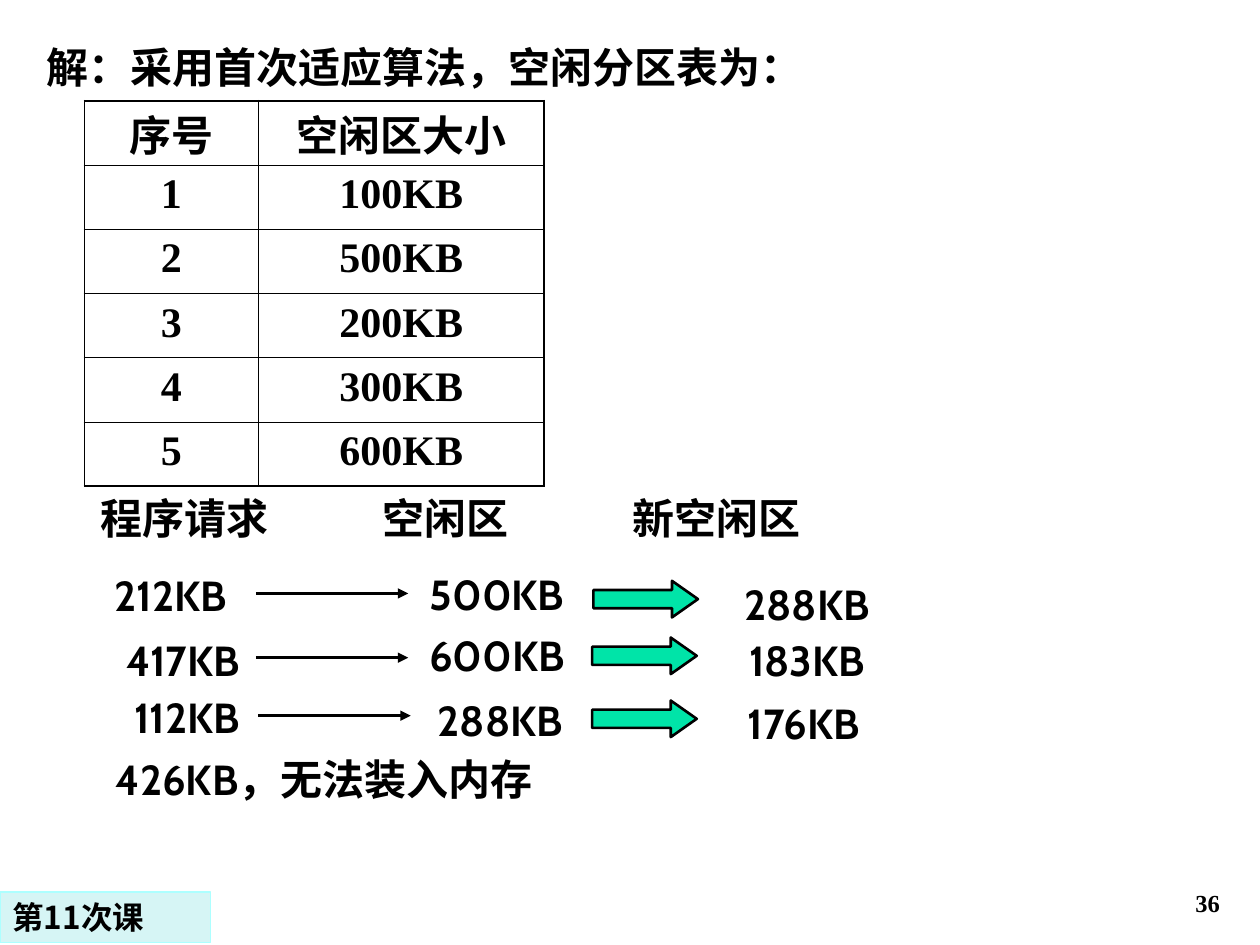
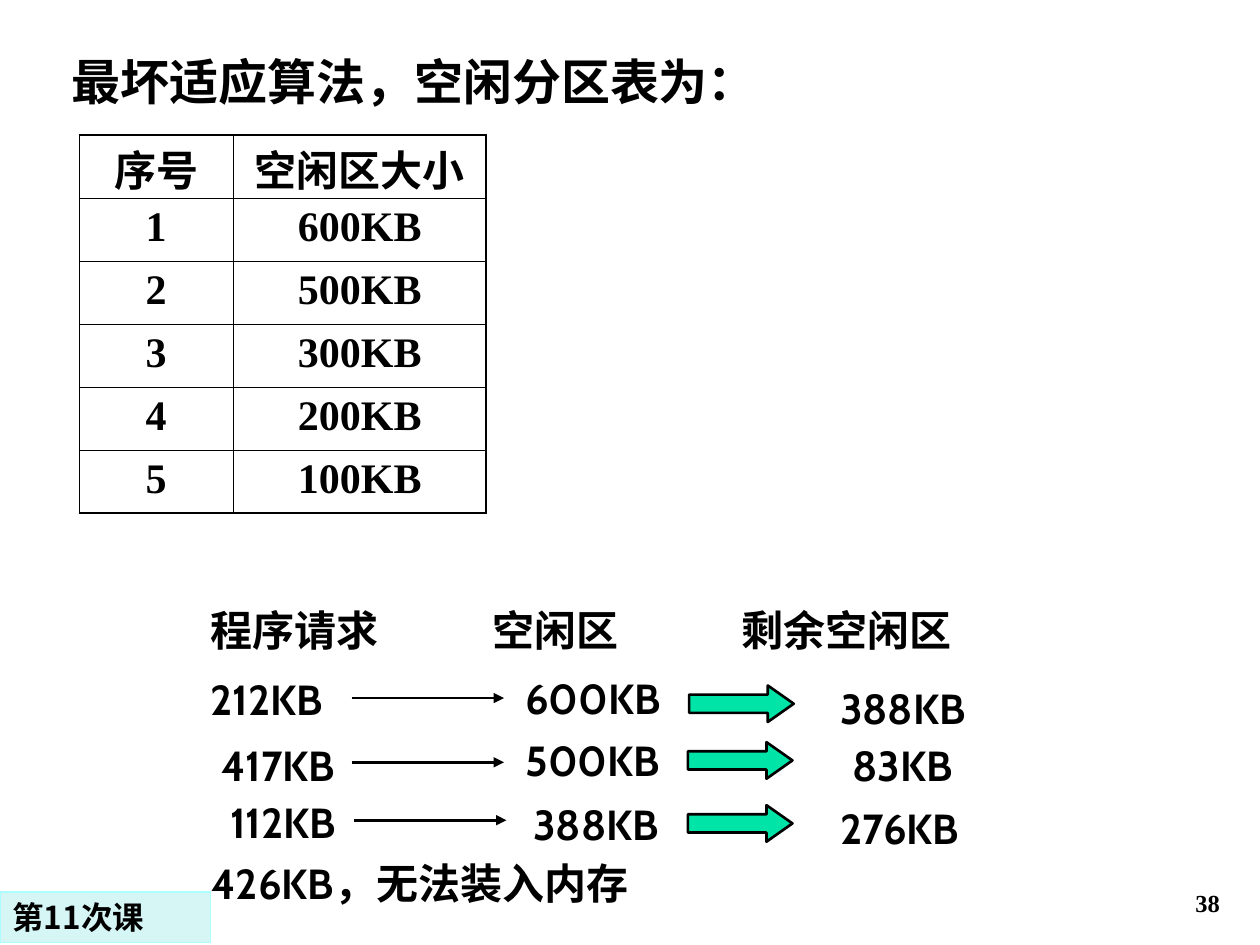
from lxml import etree
from pptx import Presentation
from pptx.dml.color import RGBColor
from pptx.enum.shapes import MSO_CONNECTOR, MSO_SHAPE
from pptx.enum.text import MSO_ANCHOR, MSO_AUTO_SIZE, PP_ALIGN
from pptx.oxml.ns import qn
from pptx.util import Inches, Pt

BLACK = RGBColor(0x00, 0x00, 0x00)
GREEN = RGBColor(0x00, 0xE4, 0xA8)
PALE_CYAN = RGBColor(0xD6, 0xF5, 0xF5)
CYAN_EDGE = RGBColor(0xAD, 0xFF, 0xFF)
CABIN, TIMES, CJK = "Cabin", "Times New Roman", "Noto Sans CJK SC"

# Content
LESSON = "第11次课"
TABLE_HEAD = ("序号", "空闲区大小")
REJECTED = "426KB，无法装入内存"
SLIDES = [
    {
        "title": "解：采用首次适应算法，空闲分区表为：",
        "title_box": (0.27, 0.28, 7.21, 0.5), "title_font": (CABIN, 24),
        "free_sizes": ["100KB", "500KB", "200KB", "300KB", "600KB"],
        "table_at": (0.67, 0.8), "column_widths": (1.38, 2.27), "row_height": 0.51,
        "headings": ("程序请求", "空闲区", "新空闲区"), "headings_at": (0.7, 3.86),
        "allocations": [("212KB", "500KB", "288KB"),
                        ("417KB", "600KB", "183KB"),
                        ("112KB", "288KB", "176KB")],
        "flow_at": (0.75, 4.46), "number": "36",
    },
    {
        "title": "最坏适应算法，空闲分区表为：",
        "title_box": (0.47, 0.36, 8.07, 0.57), "title_font": (TIMES, 28),
        "free_sizes": ["600KB", "500KB", "300KB", "200KB", "100KB"],
        "table_at": (0.63, 1.07), "column_widths": (1.22, 2.01), "row_height": 0.5,
        "headings": ("程序请求", "空闲区", "剩余空闲区"), "headings_at": (1.57, 4.75),
        "allocations": [("212KB", "600KB", "388KB"),
                        ("417KB", "500KB", "83KB"),
                        ("112KB", "388KB", "276KB")],
        "flow_at": (1.51, 5.29), "number": "38",
    },
]

# Flow rows, measured from flow_at: (left, top, width) of the three sizes,
# then (left, top) of the thin arrow and of the block arrow
FLOW_ROWS = [
    ([(0.06, 0.01, 1.09), (2.43, 0, 1.53), (4.98, 0.08, 1.35)], (1.28, 0.25), (3.96, 0.15)),
    ([(0, 0.53, 1.4), (2.53, 0.49, 1.33), (5, 0.53, 1.31)], (1.28, 0.76), (3.95, 0.6)),
    ([(0.02, 0.98, 1.43), (2.52, 1, 1.4), (4.93, 1.03, 1.4)], (1.3, 1.22), (3.95, 1.1)),
]
REJECTED_OFFSET = (0.07, 1.47)
HEADING_TABS = (2.24, 4.22)
LINE_HEIGHT = 0.5
ARROW_LENGTH = 1.21


def format_text(paragraph, font_name, size, align=PP_ALIGN.LEFT):
    paragraph.alignment = align
    for run in paragraph.runs:
        font = run.font
        font.name, font.size, font.bold = font_name, Pt(size), True
        font.color.rgb = BLACK
        east_asian = etree.Element(qn("a:ea"), typeface=CJK)
        run._r.rPr.find(qn("a:latin")).addnext(east_asian)


def add_text(slide, text, box, font_name=CABIN, size=24, align=PP_ALIGN.LEFT,
             anchor=MSO_ANCHOR.TOP, tabs=()):
    frame = slide.shapes.add_textbox(*map(Inches, box)).text_frame
    frame.word_wrap = True
    frame.vertical_anchor = anchor
    frame.text = text
    paragraph = frame.paragraphs[0]
    if tabs:
        tab_list = etree.SubElement(paragraph._p.get_or_add_pPr(), qn("a:tabLst"))
        for stop in tabs:
            etree.SubElement(tab_list, qn("a:tab"), pos=str(Inches(stop)), algn="l")
    format_text(paragraph, font_name, size, align)


def add_title(slide, content):
    title = slide.shapes.title
    title.left, title.top, title.width, title.height = map(Inches, content["title_box"])
    frame = title.text_frame
    frame.text = content["title"]
    frame.word_wrap = True
    frame.auto_size = MSO_AUTO_SIZE.NONE
    frame.vertical_anchor = MSO_ANCHOR.TOP
    format_text(frame.paragraphs[0], *content["title_font"])


def set_borders(cell, thick_sides):
    properties = cell._tc.get_or_add_tcPr()
    for position, side in enumerate(("lnL", "lnR", "lnT", "lnB")):
        width = Pt(1.08 if side in thick_sides else 0.45)
        border = etree.Element(qn(f"a:{side}"), w=str(width))
        fill = etree.SubElement(border, qn("a:solidFill"))
        etree.SubElement(fill, qn("a:srgbClr"), val=str(BLACK))
        properties.insert(position, border)


def add_free_table(slide, content):
    rows = [TABLE_HEAD] + [(str(n), size) for n, size in enumerate(content["free_sizes"], 1)]
    widths, height = content["column_widths"], content["row_height"]
    left, top = content["table_at"]
    table = slide.shapes.add_table(
        len(rows), len(widths), Inches(left), Inches(top),
        Inches(sum(widths)), Inches(height * len(rows))).table
    for column, width in zip(table.columns, widths):
        column.width = Inches(width)
    for r, row in enumerate(rows):
        table.rows[r].height = Inches(height)
        for c, text in enumerate(row):
            cell = table.cell(r, c)
            cell.text = text
            cell.fill.background()
            if r == 0:
                cell.margin_top, cell.margin_bottom = Inches(0.02), 0
            format_text(cell.text_frame.paragraphs[0], TIMES, 24, PP_ALIGN.CENTER)
            thick_sides = {"lnL" if c == 0 else "lnR"}
            if r == 0:
                thick_sides.add("lnT")
            if r == len(rows) - 1:
                thick_sides.add("lnB")
            set_borders(cell, thick_sides)


def add_thin_arrow(slide, x, y):
    arrow = slide.shapes.add_connector(
        MSO_CONNECTOR.STRAIGHT, Inches(x), Inches(y), Inches(x + ARROW_LENGTH), Inches(y))
    arrow.line.color.rgb = BLACK
    arrow.line.width = Pt(1.5)
    etree.SubElement(arrow.line._get_or_add_ln(), qn("a:tailEnd"), type="triangle")
    etree.SubElement(arrow._element.spPr, qn("a:effectLst"))


def add_filled_shape(slide, preset, box, fill, edge, edge_width):
    shape = slide.shapes.add_shape(preset, *map(Inches, box))
    shape.shadow.inherit = False
    shape.fill.solid()
    shape.fill.fore_color.rgb = fill
    shape.line.color.rgb = edge
    shape.line.width = Pt(edge_width)
    return shape


def add_flow(slide, content):
    add_text(slide, "\t".join(content["headings"]),
             (*content["headings_at"], 7.2, LINE_HEIGHT), tabs=HEADING_TABS)
    x0, y0 = content["flow_at"]
    for sizes, (spots, thin_at, block_at) in zip(content["allocations"], FLOW_ROWS):
        for size, (dx, dy, width) in zip(sizes, spots):
            add_text(slide, size, (x0 + dx, y0 + dy, width, LINE_HEIGHT),
                     align=PP_ALIGN.CENTER)
        add_thin_arrow(slide, x0 + thin_at[0], y0 + thin_at[1])
        block = add_filled_shape(
            slide, MSO_SHAPE.RIGHT_ARROW,
            (x0 + block_at[0], y0 + block_at[1], 0.83, 0.29), GREEN, BLACK, 1.5)
        block.adjustments[1] = 0.71
    dx, dy = REJECTED_OFFSET
    add_text(slide, REJECTED, (x0 + dx, y0 + dy, 4.35, LINE_HEIGHT))


def add_footer(slide, number):
    add_text(slide, number, (7.7, 6.83, 2.08, 0.5), TIMES, 14,
             PP_ALIGN.RIGHT, MSO_ANCHOR.BOTTOM)
    lesson = add_filled_shape(slide, MSO_SHAPE.RECTANGLE, (0, 7.08, 1.67, 0.4),
                              PALE_CYAN, CYAN_EDGE, 0.75)
    lesson.text_frame.text = LESSON
    format_text(lesson.text_frame.paragraphs[0], CJK, 18)


def main():
    deck = Presentation()
    deck.slide_width, deck.slide_height = Inches(10), Inches(7.5)
    title_only = deck.slide_layouts[5]
    for content in SLIDES:
        slide = deck.slides.add_slide(title_only)
        add_title(slide, content)
        add_free_table(slide, content)
        add_flow(slide, content)
        add_footer(slide, content["number"])
    deck.save("out.pptx")


if __name__ == "__main__":
    main()
